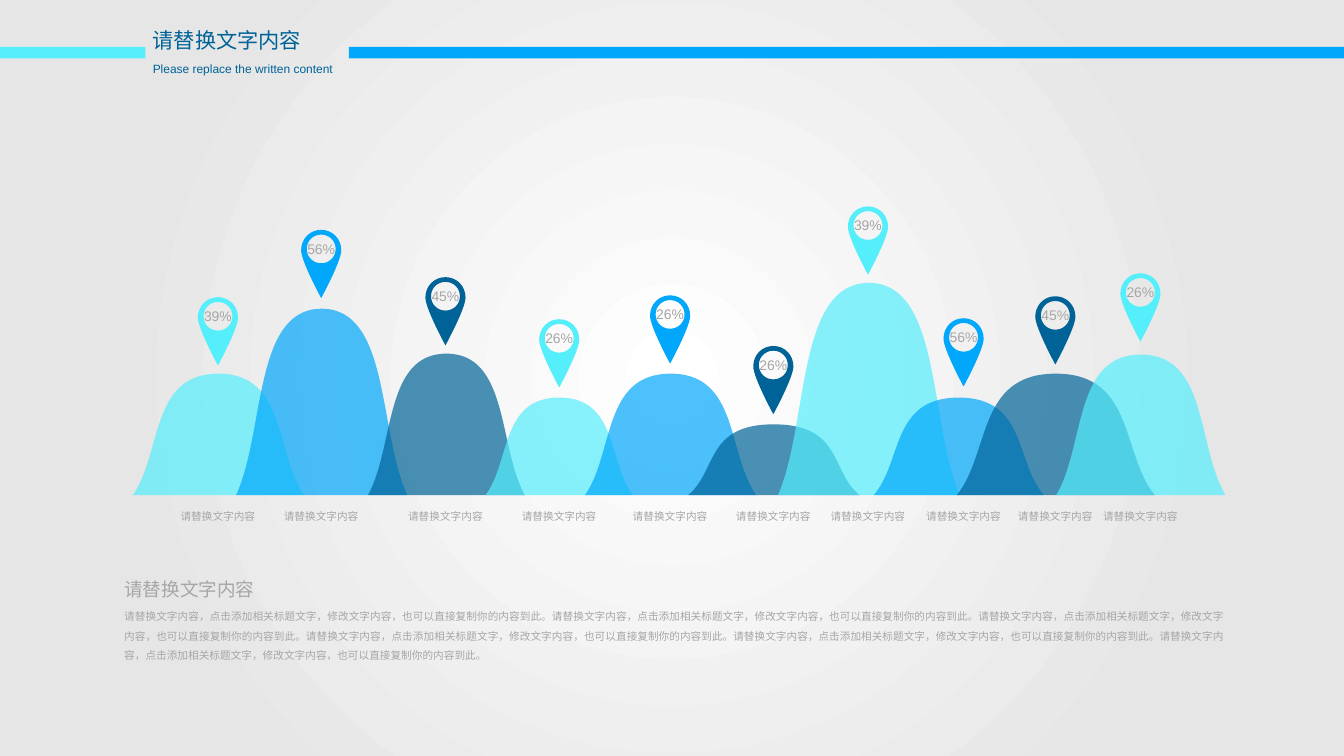
from itertools import cycle

from lxml import etree
from pptx import Presentation, util as u
from pptx.dml.color import RGBColor
from pptx.enum import shapes, text
from pptx.oxml.ns import qn

CELL = u.Inches(0.1)
COLUMNS, ROWS = 140.6, 79.1
CYAN, BLUE, NAVY, GREY = "55EEFB", "00A7FB", "006397", "A6A6A6"
LEFT, CENTER, JUSTIFY = (text.PP_ALIGN.LEFT, text.PP_ALIGN.CENTER,
                         text.PP_ALIGN.JUSTIFY)
PHRASE = "请替换文字内容"
SENTENCE = PHRASE + "，点击添加相关标题文字，修改文字内容，也可以直接复制你的内容到此。"

BASELINE = 51.8
PIN_WIDTH, PIN_HEIGHT = 4.2, 7.14
HILL = [[(0, 1), (.17, .66), (.1, 0), (.5, 0), (.9, 0), (.83, .66), (1, 1)]]
PIN = [
    [(.5, 0), (.22, 0), (0, .13), (0, .3), (0, .46), (.5, 1), (.5, 1),
     (.5, 1), (1, .46), (1, .3), (1, .13), (.78, 0), (.5, 0)],
    [(.5, .49), (.3, .49), (.14, .4), (.14, .28), (.14, .16), (.3, .07),
     (.5, .07), (.7, .07), (.86, .16), (.86, .28), (.86, .4), (.7, .49),
     (.5, .49)],
]
PEAKS = [
    ("39%", 22.8, 31.1, 13.9, 17.9, 39.1),
    ("56%", 33.6, 24.05, 24.7, 17.9, 32.3),
    ("45%", 46.6, 29.0, 38.5, 16.4, 37.0),
    ("26%", 58.5, 33.4, 50.8, 15.4, 41.6),
    ("26%", 70.1, 30.9, 61.2, 17.9, 39.1),
    ("26%", 80.9, 36.2, 72.0, 17.9, 44.4),
    ("39%", 90.8, 21.6, 81.4, 19.0, 29.6),
    ("56%", 100.8, 33.3, 91.4, 17.8, 41.6),
    ("45%", 110.4, 31.0, 100.1, 20.7, 39.1),
    ("26%", 119.3, 28.6, 110.5, 17.7, 37.1),
]


def colour(hex_code):
    return RGBColor.from_string(hex_code)


def cells(*lengths):
    return [round(length * CELL) for length in lengths]


def bend(shape):
    lines = list(shape._element.spPr.iter(qn("a:lnTo")))
    for first in range(0, len(lines), 3):
        curve = etree.Element(qn("a:cubicBezTo"))
        lines[first].addprevious(curve)
        for line in lines[first:first + 3]:
            curve.append(line[0])
            line.getparent().remove(line)


def write(frame, words, size, ink, align=LEFT, spacing=None):
    paragraph = frame.paragraphs[0]
    paragraph.alignment = align
    if spacing:
        paragraph.line_spacing = spacing
    run = paragraph.add_run()
    run.text = words
    run.font.size = u.Pt(size)
    run.font.name = "Arial"
    run.font.color.rgb = colour(ink)


class Board:
    def __init__(self, slide):
        self.slide = slide

    def backdrop(self, inner, outer, reach):
        fill = self.slide.background.fill
        fill.gradient()
        for stop, (place, shade) in zip(fill.gradient_stops,
                                        ((0, inner), (reach, outer))):
            stop.position = place
            stop.color.rgb = colour(shade)
        linear = next(self.slide.background._cSld.iter(qn("a:lin")))
        radial = etree.Element(qn("a:path"), path="circle")
        etree.SubElement(radial, qn("a:fillToRect"),
                         l="50000", t="50000", r="50000", b="50000")
        linear.getparent().replace(linear, radial)

    def paint(self, shape, shade, alpha=None):
        shape.shadow.inherit = False
        shape.fill.solid()
        shape.fill.fore_color.rgb = colour(shade)
        shape.line.fill.background()
        if alpha:
            solid = next(shape._element.spPr.iter(qn("a:srgbClr")))
            etree.SubElement(solid, qn("a:alpha"), val=str(alpha * 1000))

    def bar(self, left, top, width, height, shade):
        self.paint(self.slide.shapes.add_shape(
            shapes.MSO_SHAPE.RECTANGLE, *cells(left, top, width, height)), shade)

    def outline(self, left, top, width, height, contours, shade, alpha=None):
        builder = None
        for contour in contours:
            start, *rest = [cells(left + x * width, top + y * height)
                            for x, y in contour]
            if builder is None:
                builder = self.slide.shapes.build_freeform(*start)
            else:
                builder.move_to(*start)
            builder.add_line_segments(rest, close=True)
        shape = builder.convert_to_shape()
        bend(shape)
        self.paint(shape, shade, alpha)

    def label(self, left, top, width, height, words, size, ink, wrap=False,
              roomy=False, anchor=text.MSO_ANCHOR.TOP, **style):
        frame = self.slide.shapes.add_textbox(
            *cells(left, top, width, height)).text_frame
        frame.word_wrap = wrap
        frame.vertical_anchor = anchor
        if not wrap:
            frame.auto_size = text.MSO_AUTO_SIZE.SHAPE_TO_FIT_TEXT
        if roomy:
            frame.margin_left = frame.margin_right = u.Inches(0.14)
            frame.margin_top = frame.margin_bottom = u.Inches(0.07)
        write(frame, words, size, ink, **style)


def main():
    deck = Presentation()
    deck.slide_width, deck.slide_height = cells(COLUMNS, ROWS)
    board = Board(deck.slides.add_slide(deck.slide_layouts[6]))
    board.backdrop("FFFFFF", "E6E6E6", 0.73)

    for peak, shade in zip(PEAKS, cycle((CYAN, BLUE, NAVY))):
        percent, centre, pin_top, hill_left, hill_width, hill_top = peak
        board.outline(centre - PIN_WIDTH / 2, pin_top, PIN_WIDTH, PIN_HEIGHT,
                      PIN, shade)
        board.label(centre - 2.5, pin_top + 0.6, 5, 2.8, percent, 10.5, GREY,
                    align=CENTER)
        board.outline(hill_left, hill_top, hill_width, BASELINE - hill_top,
                      HILL, shade, alpha=70)
        board.label(centre - 5.35, 52, 10.7, 3.2, PHRASE, 8, GREY, roomy=True,
                    align=CENTER, spacing=1.5)

    board.label(11.6, 62.5, 118, 9.4, SENTENCE * 6, 8, GREY, wrap=True,
                roomy=True, align=JUSTIFY, spacing=1.5)
    board.label(11.6, 60.3, 18, 2.7, PHRASE, 14, GREY, wrap=True, roomy=True,
                anchor=text.MSO_ANCHOR.MIDDLE, align=JUSTIFY)

    board.bar(36.5, 4.9, COLUMNS - 36.5, 1.2, BLUE)
    board.bar(0, 4.9, 15.2, 1.2, CYAN)
    board.label(15, 5.9, 21, 2.5, "Please replace the written content", 9, NAVY)
    board.label(15, 2.4, 17.7, 3.7, PHRASE, 16, NAVY)
    deck.save("out.pptx")


if __name__ == "__main__":
    main()
